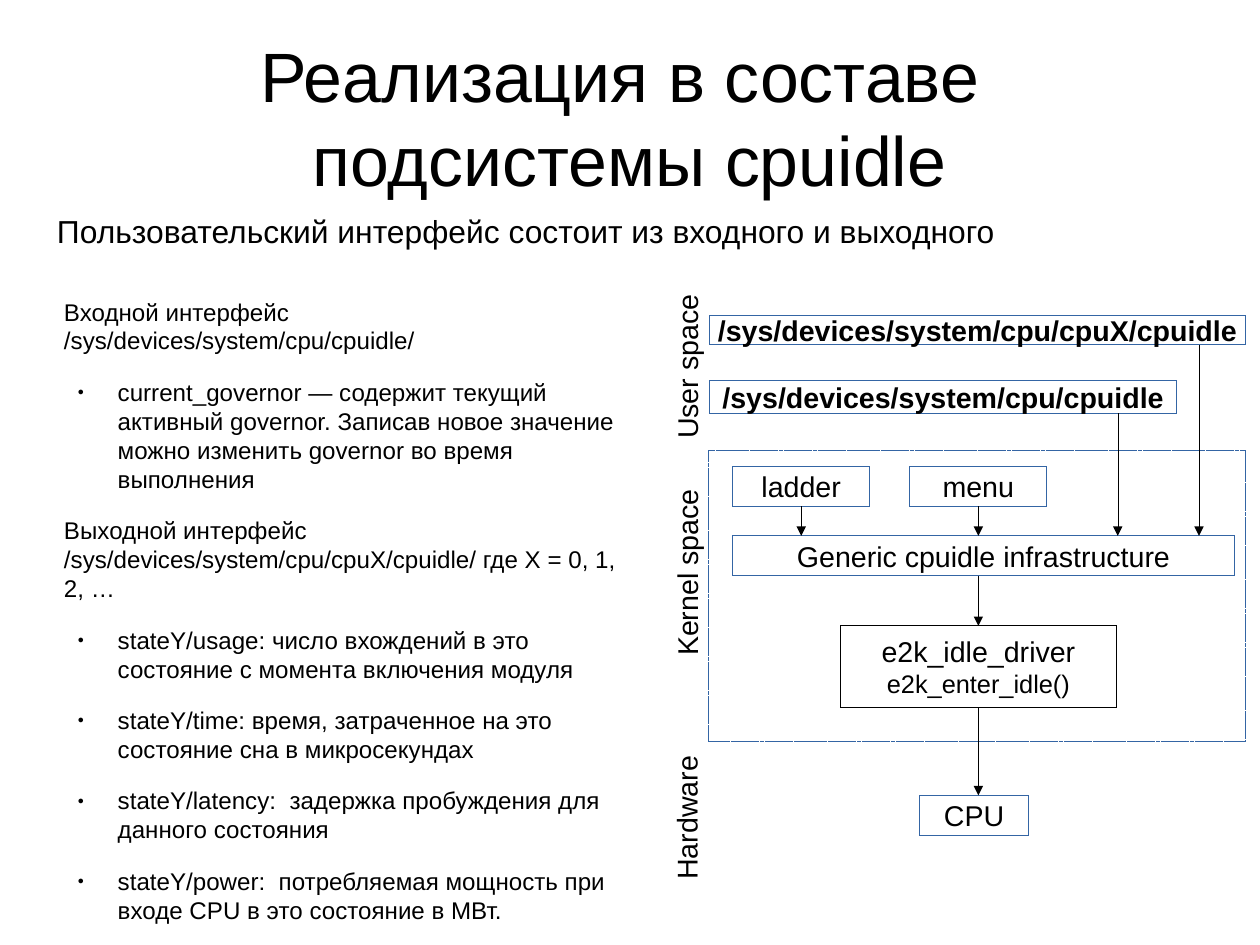
"""Build the slide on the user interface of the cpuidle subsystem."""
import pptx
import pptx.dml.color
import pptx.enum.dml
import pptx.enum.shapes
import pptx.enum.text
import pptx.oxml.ns
import pptx.util
from lxml import etree

BLACK = pptx.dml.color.RGBColor(0x00, 0x00, 0x00)
WHITE = pptx.dml.color.RGBColor(0xFF, 0xFF, 0xFF)
BLUE = pptx.dml.color.RGBColor(0x34, 0x65, 0xA4)
FONT = "Arial"
WIDTH = pptx.util.Cm(28)
HEIGHT = pptx.util.Cm(21)
ALIGN = pptx.enum.text.PP_ALIGN
ANCHOR = pptx.enum.text.MSO_ANCHOR
RECT = pptx.enum.shapes.MSO_SHAPE.RECTANGLE

AXIS = 77.65
BUS_TOP = 56.71
ROW = 4.23

BODY = [
    (False, "Входной интерфейс /sys/devices/system/cpu/cpuidle/"),
    (True, "current_governor — содержит текущий активный governor. "
           "Записав новое значение можно изменить governor во время выполнения"),
    (False, "Выходной интерфейс /sys/devices/system/cpu/cpuX/cpuidle/ где X = 0, 1, 2, …"),
    (True, "stateY/usage: число вхождений в это состояние с момента включения модуля"),
    (True, "stateY/time: время, затраченное на это состояние сна в микросекундах"),
    (True, "stateY/latency:  задержка пробуждения для данного состояния"),
    (True, "stateY/power:  потребляемая мощность при входе CPU в это состояние в МВт."),
]
SPACES = [
    ("User space", 47.71, 36.26, 13.52),
    ("Kernel space", 46.8, 58.02, 15.34),
    ("Hardware", 48.53, 84.04, 11.8),
]


def col(n):
    """Return n hundredths of the slide's width."""
    return int(WIDTH * n / 100)


def row(n):
    """Return n hundredths of the slide's height."""
    return int(HEIGHT * n / 100)


def area(x, y, w, h):
    """Convert a grid rectangle to slide lengths."""
    return col(x), row(y), col(w), row(h)


def style(p, size, bold=False, align=ALIGN.LEFT):
    """Format one paragraph and its runs."""
    p.alignment = align
    for r in p.runs:
        r.font.name = FONT
        r.font.size = pptx.util.Pt(size)
        r.font.bold = bold
        r.font.color.rgb = BLACK


def hairline(sp, color):
    """Give a shape or connector the thinnest line and return its element."""
    sp.line.color.rgb = color
    ln = sp._element.spPr.find(pptx.oxml.ns.qn("a:ln"))
    ln.set("w", "0")
    return ln


def fill_placeholder(sp, bounds, text, anchor):
    """Place a placeholder without insets and set its text."""
    sp.left, sp.top, sp.width, sp.height = area(*bounds)
    tf = sp.text_frame
    tf.text = text
    tf.word_wrap = True
    tf.auto_size = pptx.enum.text.MSO_AUTO_SIZE.NONE
    tf.vertical_anchor = anchor
    tf.margin_left = tf.margin_right = tf.margin_top = tf.margin_bottom = 0
    return tf


def set_bullet(p, bulleted):
    """Give a paragraph a small round bullet, or none."""
    pPr = p._p.get_or_add_pPr()
    left, indent = (0.47, -0.35) if bulleted else (0, 0)
    pPr.set("marL", str(pptx.util.Inches(left)))
    pPr.set("indent", str(pptx.util.Inches(indent)))
    qn = pptx.oxml.ns.qn
    if bulleted:
        etree.SubElement(pPr, qn("a:buSzPct")).set("val", "45000")
        etree.SubElement(pPr, qn("a:buFont")).set("typeface", FONT)
        etree.SubElement(pPr, qn("a:buChar")).set("char", "●")
    else:
        etree.SubElement(pPr, qn("a:buNone"))


def add_body(sp):
    """Fill the body placeholder with headings and bulleted items."""
    text = "\n".join(item for _, item in BODY)
    tf = fill_placeholder(sp, (5.08, 31.42, 43.9, 62.88), text, ANCHOR.TOP)
    for p, (bulleted, _) in zip(tf.paragraphs, BODY):
        style(p, 15.2)
        p.space_before = pptx.util.Pt(14.2)
        set_bullet(p, bulleted)


def add_label(slide, text, bounds, size, rotation=0):
    """Add a plain text box."""
    sp = slide.shapes.add_textbox(*area(*bounds))
    sp.rotation = rotation
    tf = sp.text_frame
    tf.word_wrap = True
    tf.text = text
    style(tf.paragraphs[0], size)


def add_box(slide, text, bounds, sizes=(18,), line=BLUE, bold=False):
    """Add a white outlined box with centred text."""
    sp = slide.shapes.add_shape(RECT, *area(*bounds))
    sp.shadow.inherit = False
    sp.fill.solid()
    sp.fill.fore_color.rgb = WHITE
    hairline(sp, line)
    tf = sp.text_frame
    tf.word_wrap = False
    tf.vertical_anchor = ANCHOR.MIDDLE
    tf.text = text
    for p, size in zip(tf.paragraphs, sizes):
        style(p, size, bold, ALIGN.CENTER)
    return sp


def add_frame(slide, bounds):
    """Add the dashed frame around the kernel space."""
    sp = slide.shapes.add_shape(RECT, *area(*bounds))
    sp.shadow.inherit = False
    sp.fill.background()
    hairline(sp, BLUE)
    sp.line.dash_style = pptx.enum.dml.MSO_LINE.SQUARE_DOT


def add_arrow(slide, x, top, bottom, source=None, target=None):
    """Add a downward arrow, joined to the given boxes."""
    s = slide.shapes.add_connector(
        pptx.enum.shapes.MSO_CONNECTOR.STRAIGHT, col(x), row(top), col(x), row(bottom))
    if source is not None:
        s.begin_connect(source, 2)
    if target is not None:
        s.end_connect(target, 0)
    qn = pptx.oxml.ns.qn
    etree.SubElement(hairline(s, BLACK), qn("a:tailEnd")).set("type", "triangle")
    etree.SubElement(s._element.spPr, qn("a:effectLst"))


def add_diagram(slide):
    """Draw the path from user space through the kernel to the hardware."""
    add_frame(slide, (56.24, 47.64, 42.65, 30.83))
    add_box(slide, "/sys/devices/system/cpu/cpuX/cpuidle", (56.3, 33.37, 42.56, 3.14), bold=True)
    add_box(slide, "/sys/devices/system/cpu/cpuidle", (56.3, 40.24, 37.11, 3.51), bold=True)
    add_box(slide, "Generic cpuidle infrastructure", (58.14, BUS_TOP, 39.84, ROW))
    driver = add_box(slide, "e2k_idle_driver\ne2k_enter_idle()",
                     (AXIS - 10.93, 66.24, 21.86, 8.59), (18, 16), BLACK)
    add_box(slide, "CPU", (73, 84.16, 8.62, ROW))
    for name, centre in (("ladder", 63.59), ("menu", AXIS)):
        governor = add_box(slide, name, (centre - 5.45, 49.33, 10.9, ROW))
        add_arrow(slide, centre, 49.33 + ROW, BUS_TOP, source=governor)
    for x, top in ((88.71, 43.75), (95.16, 36.51)):
        add_arrow(slide, x, top, BUS_TOP)
    add_arrow(slide, AXIS, BUS_TOP + ROW, 66.24, target=driver)
    add_arrow(slide, AXIS, 74.83, 84.16, source=driver)
    for text, x, y, w in SPACES:
        add_label(slide, text, (x, y, w, 4.72), 18, 270)


def main():
    """Create and save the presentation."""
    prs = pptx.Presentation()
    prs.slide_width, prs.slide_height = WIDTH, HEIGHT
    slide = prs.slides.add_slide(prs.slide_layouts[1])
    tf = fill_placeholder(slide.shapes.title, (4.99, 3.99, 90.02, 16.69),
                          "Реализация в составе \vподсистемы cpuidle", ANCHOR.MIDDLE)
    style(tf.paragraphs[0], 44, align=ALIGN.CENTER)
    add_body(slide.placeholders[1])
    add_label(slide, "Пользовательский интерфейс состоит из входного и выходного",
              (3.63, 21.77, 92.11, 4.96), 20)
    add_diagram(slide)
    prs.save("out.pptx")


if __name__ == "__main__":
    main()
